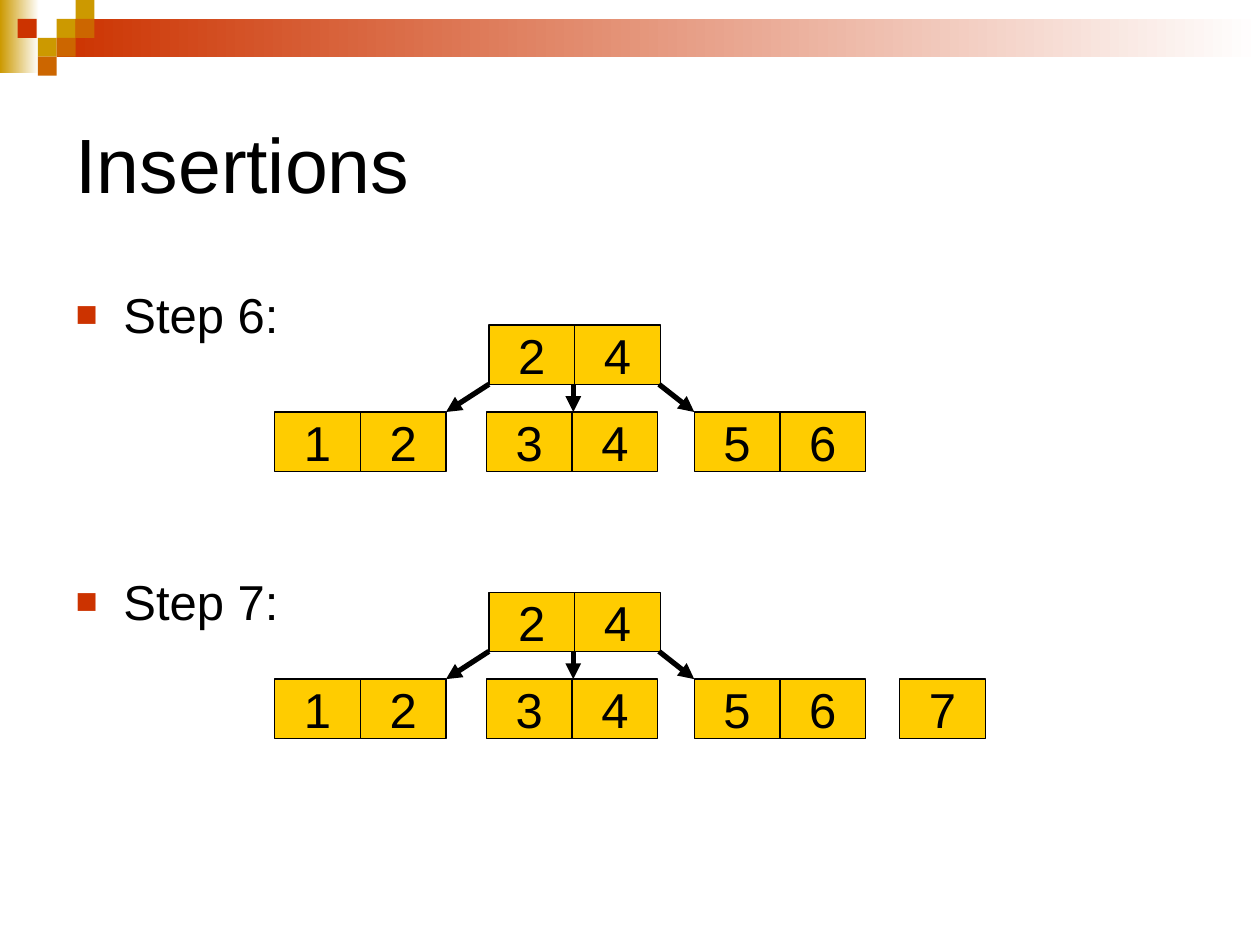
import pptx
import pptx.util
import pptx.dml.color
import pptx.enum.shapes
import pptx.enum.text
import pptx.oxml
import pptx.oxml.ns

Inches, Pt = pptx.util.Inches, pptx.util.Pt
RECT = pptx.enum.shapes.MSO_SHAPE.RECTANGLE
LINE = pptx.enum.shapes.MSO_CONNECTOR.STRAIGHT
ALIGN = pptx.enum.text.PP_ALIGN
MIDDLE = pptx.enum.text.MSO_ANCHOR.MIDDLE
NONE = pptx.enum.text.MSO_AUTO_SIZE.NONE

RED, GOLD, ORANGE = "CC3300", "CC9900", "CC6600"
YELLOW, BLACK, WHITE = "FFCC00", "000000", "FFFFFF"

BANDS = [(0, 0, 0.31, 0.58, GOLD), (0.45, 0.15, 9.55, 0.3, RED)]
TILES = [
    (0.45, 0.15, GOLD), (0.6, 0, GOLD), (0.6, 0.15, ORANGE), (0.3, 0.3, GOLD),
    (0.14, 0.15, RED), (0.45, 0.3, ORANGE), (0.3, 0.45, ORANGE),
]
TILE = 0.15
TITLE = "Insertions"
STEPS = [("Step 6:", 0, 2.58), ("Step 7:", 130, 4.7)]
ROOT = (3.88, ["2", "4"])
LEAVES = [(2.18, ["1", "2"]), (3.86, ["3", "4"]), (5.51, ["5", "6"])]
EXTRA = (7.14, "7")
ARROWS = [(3.88, 3.54), (4.55, 4.55), (5.23, 5.51)]
CELL_W, CELL_H, DROP = 0.68, 0.47, 0.69


def color(code):
    return pptx.dml.color.RGBColor.from_string(code)


def add_xml(parent, tag, inner="", **attrs):
    space = pptx.oxml.ns.nsdecls("a")
    text = " ".join(f'{key}="{val}"' for key, val in attrs.items())
    node = pptx.oxml.parse_xml(f"<a:{tag} {space} {text}>{inner}</a:{tag}>")
    parent.append(node)


def add_run(para, text, size):
    run = para.add_run()
    run.text = text
    run.font.name = "Arial"
    run.font.size = Pt(size)
    run.font.color.rgb = color(BLACK)


def add_rect(shapes, x, y, w, h):
    rect = shapes.add_shape(RECT, Inches(x), Inches(y), Inches(w), Inches(h))
    rect.shadow.inherit = False
    rect.line.fill.background()
    return rect


def paint(rect, code):
    rect.fill.solid()
    rect.fill.fore_color.rgb = color(code)


def add_cell(shapes, x, y, text):
    cell = add_rect(shapes, x, y, CELL_W, CELL_H)
    paint(cell, YELLOW)
    cell.line.color.rgb = color(BLACK)
    cell.line.width = Pt(0.75)
    frame = cell.text_frame
    frame.word_wrap = False
    frame.vertical_anchor = MIDDLE
    para = frame.paragraphs[0]
    para.alignment = ALIGN.CENTER
    add_run(para, text, 28)


def add_node(shapes, x, y, keys):
    for i, key in enumerate(keys):
        add_cell(shapes, x + i * CELL_W, y, key)


def add_arrow(shapes, x1, y1, x2, y2):
    arrow = shapes.add_connector(LINE, Inches(x1), Inches(y1), Inches(x2), Inches(y2))
    arrow.line.color.rgb = color(BLACK)
    arrow.line.width = Pt(3)
    add_xml(arrow.line._get_or_add_ln(), "tailEnd", type="triangle")
    add_xml(arrow._element.spPr, "effectLst")


def add_tree(shapes, top):
    add_node(shapes, ROOT[0], top, ROOT[1])
    for x, keys in LEAVES:
        add_node(shapes, x, top + DROP, keys)
    for x1, x2 in ARROWS:
        add_arrow(shapes, x1, top + CELL_H, x2, top + DROP)


def place(holder, x, y, w, h, inset):
    holder.left, holder.top = Inches(x), Inches(y)
    holder.width, holder.height = Inches(w), Inches(h)
    frame = holder.text_frame
    frame.auto_size = NONE
    frame.margin_top = Inches(inset)
    return frame


def add_step(para, text, gap):
    props = para._p.get_or_add_pPr()
    props.set("marL", str(Inches(0.38)))
    props.set("indent", str(-Inches(0.38)))
    add_xml(props, "buClr", f'<a:srgbClr val="{RED}"/>')
    add_xml(props, "buSzPct", val="75000")
    add_xml(props, "buFont", typeface="Arial")
    add_xml(props, "buChar", char="■")
    para.space_before = Pt(gap)
    add_run(para, text, 28)


def main():
    deck = pptx.Presentation()
    deck.slide_width, deck.slide_height = Inches(10), Inches(7.5)
    slide = deck.slides.add_slide(deck.slide_layouts[1])
    shapes = slide.shapes

    trim = shapes.add_group_shape().shapes
    for x, y, w, h, code in BANDS:
        fill = add_rect(trim, x, y, w, h).fill
        fill.gradient()
        fill.gradient_angle = 0
        for stop, shade, spot in zip(fill.gradient_stops, (code, WHITE), (0, 1)):
            stop.color.rgb = color(shade)
            stop.position = spot
    for x, y, code in TILES:
        paint(add_rect(trim, x, y, TILE, TILE), code)

    frame = place(shapes.title, 0.5, 0.5, 9, 1.5, 0.14)
    frame.vertical_anchor = MIDDLE
    frame.paragraphs[0].alignment = ALIGN.LEFT
    add_run(frame.paragraphs[0], TITLE, 44)

    frame = place(slide.placeholders[1], 0.5, 2.17, 9, 4.25, 0.09)
    for i, (text, gap, top) in enumerate(STEPS):
        para = frame.add_paragraph() if i else frame.paragraphs[0]
        add_step(para, text, gap)
        add_tree(shapes.add_group_shape().shapes, top)
    add_cell(shapes, EXTRA[0], STEPS[-1][2] + DROP, EXTRA[1])

    deck.save("out.pptx")


if __name__ == "__main__":
    main()
